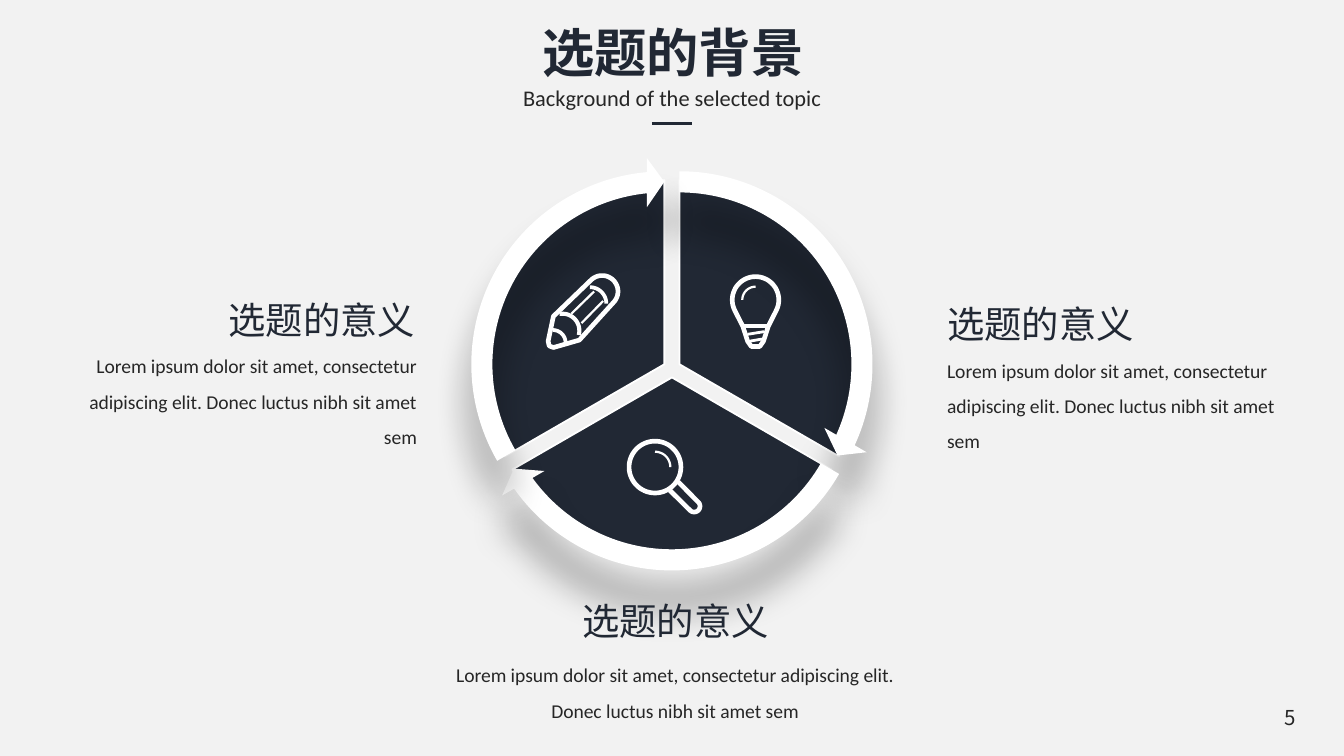
import math

from lxml import etree
from pptx import Presentation
from pptx import util as u
from pptx.dml.color import RGBColor
from pptx.enum import shapes, text
from pptx.oxml import parse_xml
from pptx.oxml.ns import qn

NAVY = RGBColor(0x21, 0x28, 0x34)
GREY = RGBColor(0x26, 0x26, 0x26)
WHITE = RGBColor(0xFF, 0xFF, 0xFF)
PAPER = RGBColor(0xF2, 0xF2, 0xF2)
CJK, LATIN = "Noto Sans CJK SC", "Calibri"
LEFT, CENTER, RIGHT = text.PP_ALIGN.LEFT, text.PP_ALIGN.CENTER, text.PP_ALIGN.RIGHT
SHADOW = (
    '<a:effectLst xmlns:a="http://schemas.openxmlformats.org/drawingml/2006/main">'
    '<a:outerShdw blurRad="254000" dist="254000" dir="5400000" rotWithShape="0">'
    '<a:srgbClr val="000000"><a:alpha val="40000"/></a:srgbClr>'
    "</a:outerShdw></a:effectLst>"
)


def set_text(words, box, sp=None, size=10.5, font=LATIN, color=GREY, bold=False,
             align=CENTER, spacing=1.0, wrap=True, anchor=text.MSO_ANCHOR.TOP):
    """Write one paragraph into sp, or into a new text box, at box (cm)."""
    left, top, width, height = [u.Cm(v) for v in box]
    if sp is None:
        sp = slide.shapes.add_textbox(left, top, width, height)
    else:
        sp.left, sp.top, sp.width, sp.height = left, top, width, height
    tf = sp.text_frame
    tf.auto_size = text.MSO_AUTO_SIZE.NONE
    tf.word_wrap = wrap
    tf.vertical_anchor = anchor
    p = tf.paragraphs[0]
    p.alignment, p.line_spacing = align, spacing
    r = p.add_run()
    r.text = words
    r.font.size, r.font.bold, r.font.name = u.Pt(size), bold, font
    r.font.color.rgb = color
    etree.SubElement(r.font._element, qn("a:ea")).set("typeface", font)


def arc(cx, cy, radius, start, end):
    """Points along a circle, angles in degrees clockwise from the right."""
    steps = max(8, int(abs(end - start) / 6))
    angles = [math.radians(start + (end - start) * i / steps) for i in range(steps + 1)]
    return [(cx + radius * math.cos(a), cy + radius * math.sin(a)) for a in angles]


prs = Presentation()
prs.slide_width, prs.slide_height = u.Cm(25.4), u.Cm(14.29)
slide = prs.slides.add_slide(prs.slide_layouts[5])
slide.background.fill.solid()
slide.background.fill.fore_color.rgb = PAPER

# Heading with a short rule
set_text("选题的背景", (9.96, 0.25, 5.51, 1.45), sp=slide.shapes.title, size=28,
         font=CJK, color=NAVY, bold=True, wrap=False)
set_text("Background of the selected topic", (9.63, 1.47, 6.15, 0.76), size=12, wrap=False)
rule = slide.shapes.add_connector(shapes.MSO_CONNECTOR.STRAIGHT,
                                  u.Cm(12.32), u.Cm(2.34), u.Cm(13.08), u.Cm(2.34))
rule.line.color.rgb, rule.line.width = NAVY, u.Pt(1.5)
etree.SubElement(rule._element.spPr, qn("a:effectLst"))

# Wheel: three sectors, then three arrows, each moved out from the centre
wheel = slide.shapes.add_group_shape()
DEG = 0.6  # adjustment units per degree
for kind, radius in ((shapes.MSO_SHAPE.PIE, 3.48), (shapes.MSO_SHAPE.CIRCULAR_ARROW, 3.91)):
    for start in (270, 30, 150):
        middle = math.radians(start + 60)
        cx, cy = 12.7 + 0.165 * math.cos(middle), 6.97 + 0.165 * math.sin(middle)
        sp = wheel.shapes.add_shape(kind, u.Cm(cx - radius), u.Cm(cy - radius),
                                    u.Cm(2 * radius), u.Cm(2 * radius))
        sp.shadow.inherit = False
        sp.fill.solid()
        if kind == shapes.MSO_SHAPE.PIE:
            values = (start * DEG, (start + 120) % 360 * DEG)
            sp.fill.fore_color.rgb = NAVY
            sp.line.color.rgb, sp.line.width = WHITE, u.Pt(1)
        else:
            values = (0.051, 5.46 * DEG, (start + 114.54) % 360 * DEG, start * DEG, 0.059)
            sp.fill.fore_color.rgb = WHITE
            sp.line.fill.background()
            spPr = sp._element.spPr
            spPr.replace(spPr.find(qn("a:effectLst")), parse_xml(SHADOW))
        for i, value in enumerate(values):
            sp.adjustments[i] = value

# Icons as strokes: points (cm), line width (pt), closed
pencil = [
    ([(10.36, 6.45), (10.46, 5.98)] + arc(11.38, 5.51, 0.3, 225, 405)
     + [(10.95, 6.43), (10.46, 6.57), (10.38, 6.54)], 2.5, True),
    (arc(11.15, 5.74, 0.31, -90, 0), 2, False),
    (arc(10.63, 6.25, 0.32, -100, 15), 2.2, False),
    (arc(10.45, 6.48, 0.24, -90, 0), 2, False),
    ([(10.8, 5.93), (11.23, 5.51)], 1.2, False),
    ([(10.99, 6.11), (11.4, 5.69)], 1.2, False),
]
bulb = [
    (arc(14.28, 5.67, 0.44, 150, 390)
     + [(14.52, 6.17), (14.43, 6.45), (14.36, 6.55), (14.2, 6.55), (14.13, 6.45), (14.04, 6.17)],
     2.5, True),
    ([(14.06, 6.16), (14.5, 6.16)], 2.2, False),
    ([(14.13, 6.32), (14.44, 6.27)], 1.5, False),
    ([(14.17, 6.45), (14.4, 6.41)], 1.5, False),
    (arc(14.28, 5.67, 0.25, 180, 270), 1.2, False),
]
magnifier = [
    (arc(12.38, 8.83, 0.49, 0, 360), 2.5, True),
    ([(12.82, 9.11)] + arc(13.12, 9.57, 0.11, -45, 135) + [(12.66, 9.27)], 2.5, False),
    (arc(12.38, 8.83, 0.29, -90, 0), 1.2, False),
]
for strokes in (pencil, bulb, magnifier):
    icon = slide.shapes.add_group_shape()
    for points, width, closed in strokes:
        points = [(u.Cm(x), u.Cm(y)) for x, y in points]
        builder = icon.shapes.build_freeform(*points[0])
        builder.add_line_segments(points[1:], close=closed)
        sp = builder.convert_to_shape()
        sp.shadow.inherit = False
        sp.fill.background()
        sp.line.color.rgb, sp.line.width = WHITE, u.Pt(width)

# Captions: heading box, body box, alignment of each
for head, body, align in (
    ((17.65, 5.56, 4.06, 1.12), (17.65, 6.43, 7.19, 2.29), LEFT),
    ((4.04, 5.49, 4.06, 1.12), (0.94, 6.35, 7.19, 2.29), RIGHT),
    ((10.74, 11.18, 4.06, 1.12), (8.2, 12.19, 9.12, 1.52), CENTER),
):
    set_text("选题的意义", head, size=20, font=CJK, color=NAVY, align=align, wrap=False)
    set_text("Lorem ipsum dolor sit amet, consectetur adipiscing elit. "
             "Donec luctus nibh sit amet sem", body, align=align, spacing=1.5)

# Page number
set_text("5", (19.02, 13.18, 5.72, 0.76), size=11, font=CJK, align=RIGHT,
         anchor=text.MSO_ANCHOR.MIDDLE)

prs.save("out.pptx")
